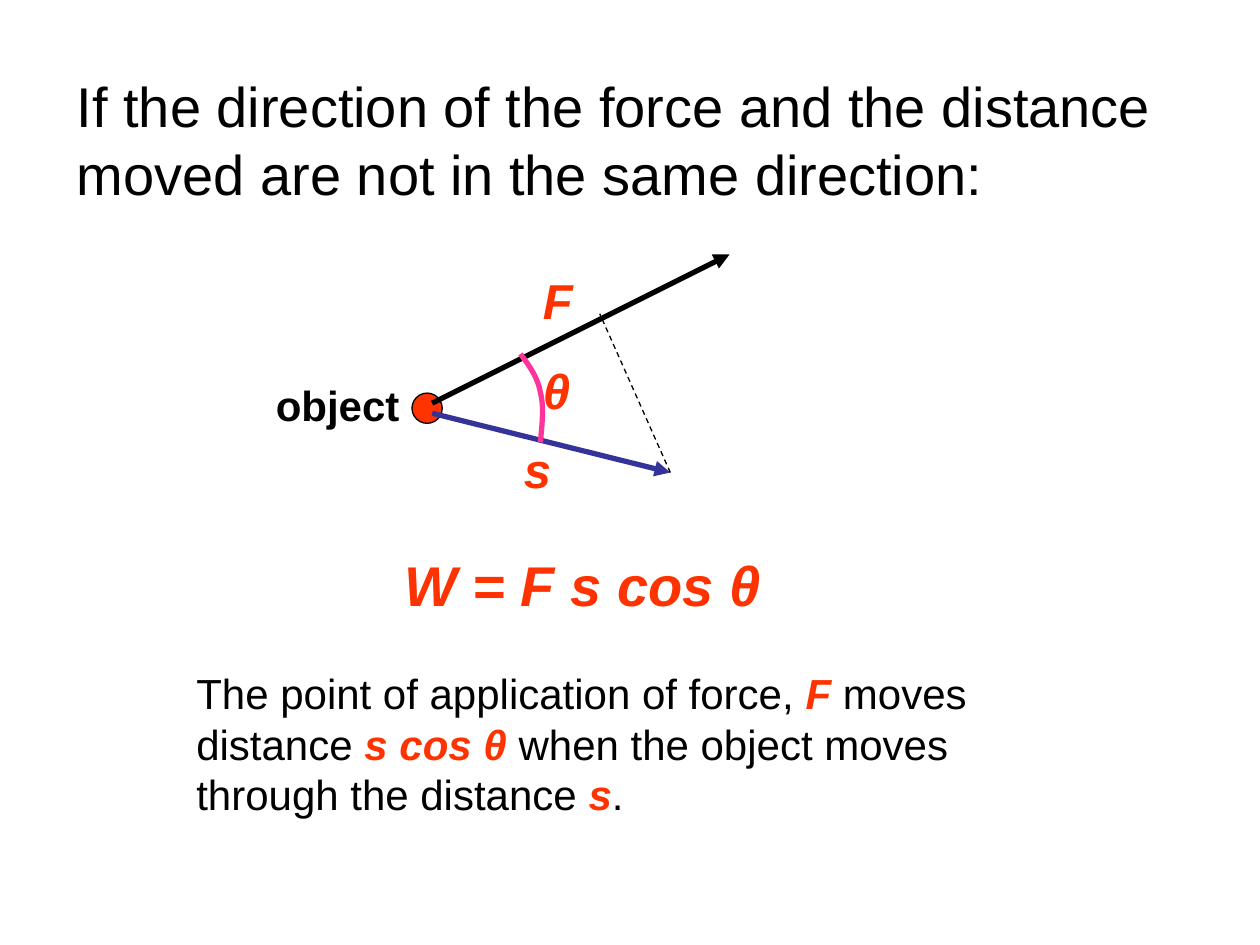
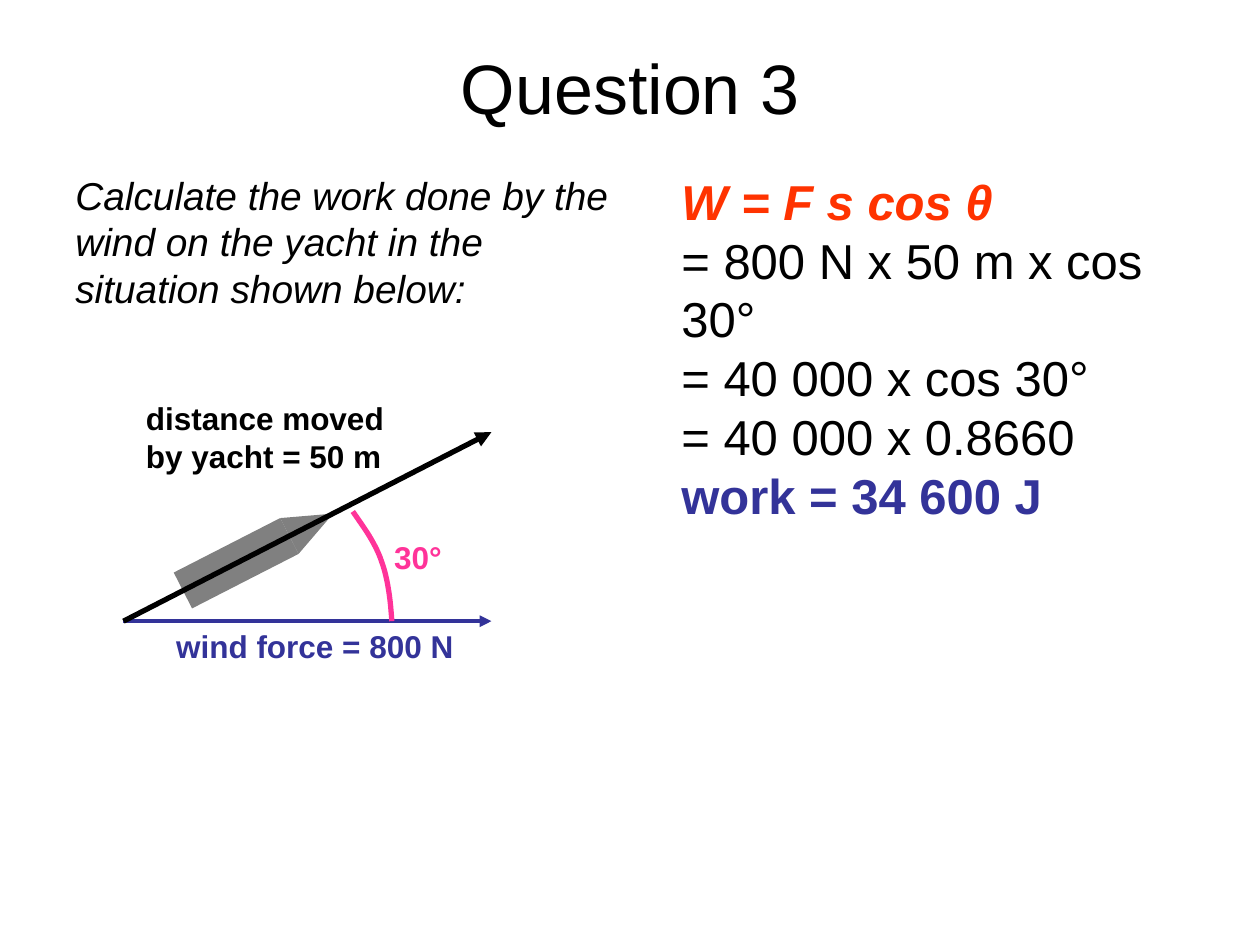
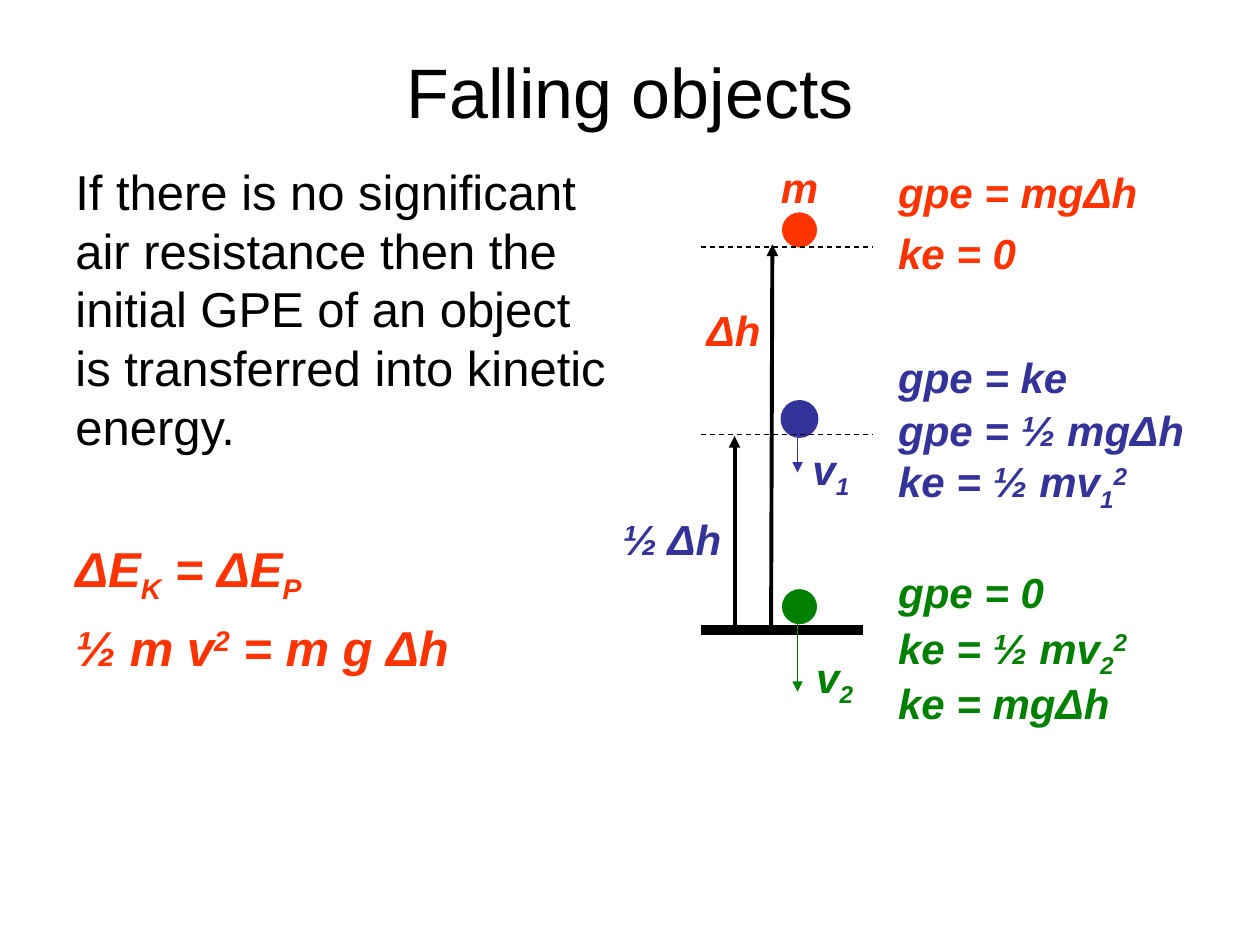
from lxml import etree
from pptx import Presentation
from pptx.dml.color import RGBColor
from pptx.enum.dml import MSO_LINE
from pptx.enum.shapes import MSO_CONNECTOR, MSO_SHAPE as SHAPE
from pptx.enum.text import MSO_ANCHOR as ANCHOR, MSO_AUTO_SIZE, PP_ALIGN as ALIGN
from pptx.oxml.ns import qn
from pptx.util import Inches, Pt

BLACK, WHITE, GREY = "000000", "FFFFFF", "808080"
RED, BLUE, GREEN, PINK = "FF3300", "333399", "008000", "FF3399"
SUB, SUP = -25, 30


def rgb(color):
    return RGBColor.from_string(color)


def bezier(p0, p1, p2, p3, steps=12):
    for k in range(1, steps + 1):
        t = k / steps
        u = 1 - t
        yield tuple(
            u**3 * a + 3 * u**2 * t * b + 3 * u * t**2 * c + t**3 * d
            for a, b, c, d in zip(p0, p1, p2, p3)
        )


class Deck:
    font = "Arial"

    def __init__(self):
        self.prs = Presentation()
        self.prs.slide_width = Inches(10)
        self.prs.slide_height = Inches(7.5)
        self.s = None

    def slide(self, title, box, size=40, align=ALIGN.CENTER, anchor=ANCHOR.MIDDLE):
        self.s = self.prs.slides.add_slide(self.prs.slide_layouts[5])
        sp = self.s.shapes.title
        sp.left, sp.top, sp.width, sp.height = map(Inches, box)
        tf = sp.text_frame
        tf.auto_size = MSO_AUTO_SIZE.NONE
        tf.vertical_anchor = anchor
        p = tf.paragraphs[0]
        p.alignment = align
        self.run(p, title, size, BLACK, "")

    def run(self, p, text, size, color, style, baseline=0):
        r = p.add_run()
        r.text = text
        f = r.font
        f.name, f.size = self.font, Pt(size)
        f.bold, f.italic = "b" in style, "i" in style
        f.color.rgb = rgb(color)
        if baseline:
            r._r.get_or_add_rPr().set("baseline", str(baseline * 1000))

    def text(self, box, *paras, size=24, color=RED, style="bi", gaps=(), spacing=None):
        tf = self.s.shapes.add_textbox(*map(Inches, box)).text_frame
        tf.word_wrap = True
        for i, runs in enumerate(paras):
            p = tf.paragraphs[0] if i == 0 else tf.add_paragraph()
            if i and gaps:
                p.space_before = Pt(gaps[i - 1])
            if spacing:
                p.line_spacing = spacing
            for item in [runs] if isinstance(runs, str) else runs:
                text, look = (item, {}) if isinstance(item, str) else item
                self.run(p, text, size, **{"color": color, "style": style, **look})

    def shape(self, kind, box, fill, line=None, rotation=0):
        sp = self.s.shapes.add_shape(kind, *map(Inches, box))
        sp.shadow.inherit = False
        sp.rotation = rotation
        sp.fill.solid()
        sp.fill.fore_color.rgb = rgb(fill)
        if line:
            sp.line.color.rgb = rgb(line)
            sp.line.width = Pt(0.75)
        else:
            sp.line.fill.background()

    def line(self, start, end, color=BLACK, width=0.75, dash=False, arrow=False):
        c = self.s.shapes.add_connector(
            MSO_CONNECTOR.STRAIGHT, *map(Inches, (*start, *end))
        )
        c.line.color.rgb = rgb(color)
        c.line.width = Pt(width)
        if dash:
            c.line.dash_style = MSO_LINE.DASH
        spPr = c.element.spPr
        if arrow:
            etree.SubElement(spPr.find(qn("a:ln")), qn("a:tailEnd"), type="triangle")
        etree.SubElement(spPr, qn("a:effectLst"))

    def arrow(self, start, end, color=BLACK, width=3):
        self.line(start, end, color, width, arrow=True)

    def curve(self, *points):
        fb = self.s.shapes.build_freeform(*map(Inches, points[0]))
        for i in range(0, len(points) - 1, 3):
            fb.add_line_segments(
                [tuple(map(Inches, p)) for p in bezier(*points[i:i + 4])], close=False
            )
        sp = fb.convert_to_shape()
        sp.shadow.inherit = False
        sp.fill.background()
        sp.line.color.rgb = rgb(PINK)
        sp.line.width = Pt(3)


def angled_force(d):
    d.slide(
        "If the direction of the force and the distance moved are not in the same direction:",
        (0.51, 0.52, 8.98, 1.26), 32, ALIGN.LEFT, ANCHOR.TOP,
    )
    d.text((3.11, 4.38, 3.47, 0.58), "W = F s cos θ", size=32, spacing=0.9)
    symbol = {"color": RED, "style": "bi"}
    d.text(
        (1.46, 5.25, 7.32, 1.3),
        ["The point of application of force,", (" F", symbol), " moves distance ",
         ("s cos θ", symbol), " when the object moves through the distance ",
         ("s", symbol), "."],
        color=BLACK, style="",
    )
    d.shape(SHAPE.OVAL, (3.27, 3.12, 0.24, 0.24), RED, BLACK)
    tip = (5.32, 3.75)
    d.arrow((3.43, 3.2), (5.79, 2.02))
    d.arrow((3.43, 3.28), tip, BLUE)
    d.line(tip, (4.76, 2.49), dash=True)
    d.curve((4.13, 2.81), (4.2, 2.9), (4.27, 3), (4.29, 3.12),
            (4.32, 3.24), (4.3, 3.37), (4.29, 3.51))
    for label, x, y in (("F", 4.21, 2.1), ("s", 4.06, 3.44), ("θ", 4.21, 2.81)):
        d.text((x, y, 0.79, 0.57), label, size=28)
    d.text((2.09, 2.96, 1.18, 0.5), "object", color=BLACK, style="b")


def yacht_question(d):
    d.slide("Question 3", (0.5, 0.3, 9, 0.77))
    d.text(
        (0.5, 1.31, 4.5, 1.21),
        "Calculate the work done by the wind on the yacht in the situation shown below:",
        size=22.2, color=BLACK, style="i",
    )
    d.text(
        (5.31, 1.31, 4.17, 4.95),
        [("W = F s cos θ", {"color": RED, "style": "bi"})],
        "= 800 N x 50 m x cos 30°",
        "= 40 000 x cos 30°",
        "= 40 000 x 0.8660",
        [("work = 34 600 J", {"color": BLUE, "style": "b"})],
        size=28, color=BLACK, style="",
    )
    d.shape(SHAPE.RECTANGLE, (1.4, 4.31, 0.95, 0.32), GREY, rotation=332.9)
    d.shape(SHAPE.ISOSCELES_TRIANGLE, (2.31, 3.97, 0.32, 0.39), GREY, rotation=62.9)
    start = (0.98, 4.93)
    d.arrow(start, (3.9, 4.93), BLUE, 2.25)
    d.arrow(start, (3.9, 3.43))
    d.curve((2.8, 4.06), (2.89, 4.19), (2.98, 4.31), (3.03, 4.46),
            (3.08, 4.6), (3.1, 4.77), (3.11, 4.93))
    for label, box, color in (
        ("wind force = 800 N", (1.3, 4.93, 2.76, 0.4), BLUE),
        ("distance moved by yacht = 50 m", (1.06, 3.12, 2.2, 0.7), BLACK),
        ("30°", (3.03, 4.22, 0.71, 0.4), PINK),
    ):
        d.text(box, label, size=18, color=color, style="b")


def falling_objects(d):
    sub, sup = {"baseline": SUB}, {"baseline": SUP}
    d.slide("Falling objects", (0.5, 0.3, 9, 0.83))
    d.text(
        (0.5, 1.23, 4.42, 4.95),
        [("If there is no significant air resistance then the initial GPE of an object "
          "is transferred into kinetic energy.", {"color": BLACK, "style": ""})],
        ["ΔE", ("K", sub), " = ΔE", ("P", sub)],
        ["½ m v", ("2", sup), " = m g Δh"],
        size=28, gaps=(47.5, 7),
    )
    for y, fill, edge in ((1.68, RED, WHITE), (3.18, BLUE, BLUE), (4.67, GREEN, WHITE)):
        d.shape(SHAPE.OVAL, (6.2, y, 0.29, 0.29), fill, edge)
    d.line((5.56, 5), (6.85, 5), width=6)
    for y in (1.96, 3.45):
        d.line((5.56, y), (6.93, y), dash=True)
    d.arrow((6.12, 4.96), (6.13, 1.94), width=2.25)
    d.arrow((5.83, 4.96), (5.83, 3.46), width=2.25)
    d.arrow((6.33, 3.32), (6.33, 3.75), BLUE, 0.75)
    d.arrow((6.33, 4.83), (6.33, 5.49), GREEN, 0.75)
    for label, x, y, w, color in (
        ("Δh", 5.51, 2.37, 0.71, RED),
        ("m", 6.1, 1.23, 0.54, RED),
        ("½ Δh", 4.84, 4.03, 1.22, BLUE),
        (["v", ("1", sub)], 6.35, 3.47, 0.54, BLUE),
        (["v", ("2", sub)], 6.38, 5.12, 0.54, GREEN),
        ("gpe = mgΔh", 7.03, 1.27, 2.1, RED),
        ("ke = 0", 7.03, 1.76, 2.1, RED),
        ("gpe = ke", 7.03, 2.74, 2.1, BLUE),
        ("gpe = ½ mgΔh", 7.03, 3.16, 2.68, BLUE),
        (["ke = ½ mv", ("1", sub), ("2", sup)], 7.03, 3.57, 2.1, BLUE),
        ("gpe = 0", 7.03, 4.45, 2.1, GREEN),
        (["ke = ½ mv", ("2", sub), ("2", sup)], 7.03, 4.89, 2.1, GREEN),
        ("ke = mgΔh", 7.03, 5.33, 2.1, GREEN),
    ):
        d.text((x, y, w, 0.5), label, color=color)


def main():
    d = Deck()
    angled_force(d)
    yacht_question(d)
    falling_objects(d)
    d.prs.save("out.pptx")


if __name__ == "__main__":
    main()
